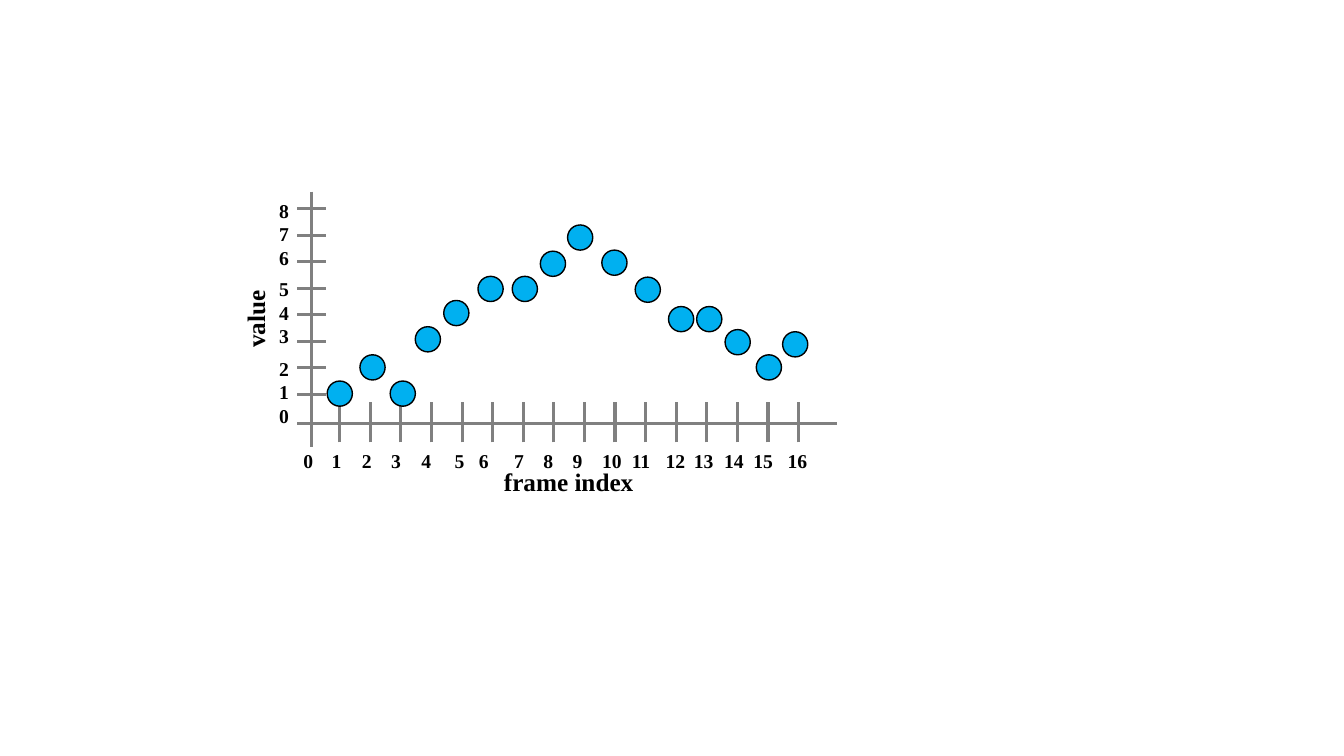
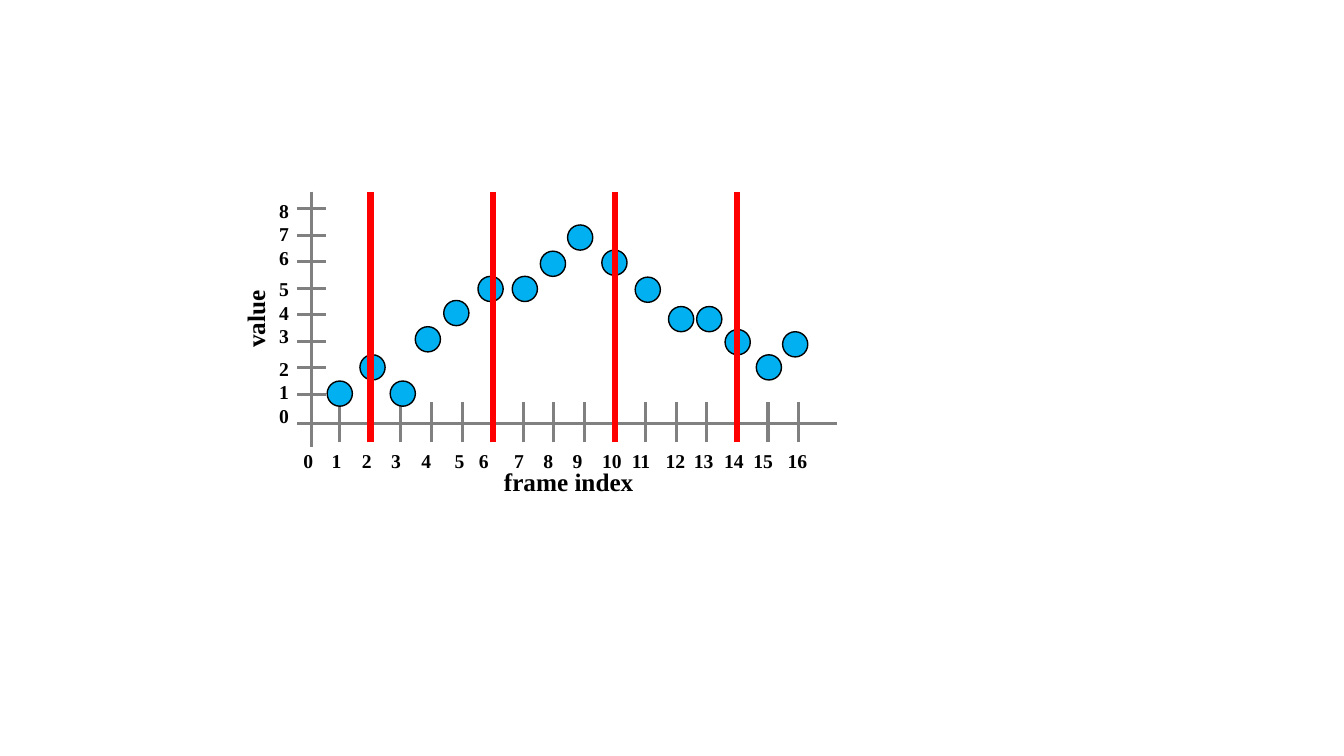
import dataclasses
import typing

import lxml.etree
import pptx
import pptx.dml.color
import pptx.enum.shapes
import pptx.enum.text
import pptx.oxml.ns
import pptx.shapes.autoshape
import pptx.shapes.shapetree
import pptx.util

Inches = pptx.util.Inches
Shapes = pptx.shapes.shapetree._BaseGroupShapes


@dataclasses.dataclass(frozen=True)
class Theme:
    font: str = "Times New Roman"
    ink: str = "000000"
    axis: str = "808080"
    dot: str = "00B0F0"
    marker: str = "FF0000"
    title_size: float = 18
    label_size: float = 14
    axis_width: float = 2.25
    marker_width: float = 4.5
    outline_width: float = 1


@dataclasses.dataclass(frozen=True)
class Plot:
    """Grid of the plot in inches: one column per frame, one row per value."""
    first_column: float = 3.37
    column_width: float = 4.55 / 15
    first_row: float = 3.91
    row_height: float = 1.84 / 7
    top: float = 1.9
    tick_top: float = 3.99
    tick_bottom: float = 4.39
    tick_left: float = 2.95
    tick_right: float = 3.23
    dot_size: float = 0.25
    frames: int = 16
    values: int = 8

    def column(self, frame: float) -> float:
        return self.first_column + (frame - 1) * self.column_width

    def row(self, value: float) -> float:
        return self.first_row - (value - 1) * self.row_height


class Segment(typing.NamedTuple):
    x1: float
    y1: float
    x2: float
    y2: float


class Label(typing.NamedTuple):
    lines: tuple[str, ...]
    left: float
    top: float
    width: float
    height: float
    size: float
    rotation: float = 0
    tabs: tuple[float, ...] = ()


class Reading(typing.NamedTuple):
    frame: float
    value: float


THEME = Theme()
PLOT = Plot()
KEY_FRAMES = (2, 6, 10, 14)
# Distance of the centres of frame numbers 1 to 16 from the start of their line
FRAME_TABS = (0.33, 0.63, 0.92, 1.22, 1.55, 1.79, 2.14, 2.43,
              2.72, 3.06, 3.35, 3.69, 3.97, 4.27, 4.56, 4.9)
READINGS = tuple(Reading(*pair) for pair in (
    (1, 1.02), (2.07, 2.01), (3.06, 1.02), (3.88, 3.07),
    (4.81, 4.06), (5.93, 4.97), (7.05, 4.97), (7.97, 5.92),
    (8.86, 6.91), (9.98, 5.96), (11.07, 4.94), (12.16, 3.83),
    (13.08, 3.83), (14.01, 2.96), (15.03, 2.01), (15.89, 2.88),
))
AXES = (Segment(PLOT.tick_left, 4.2, 8.3, 4.2),
        Segment(3.09, PLOT.top, 3.09, 4.43))
LABELS = (
    Label(("frame index",), 4.9, 4.58, 1.5, 0.4, THEME.title_size),
    Label(("value",), 2.14, 2.96, 0.78, 0.4, THEME.title_size, rotation=270),
    Label(("\t".join(str(frame) for frame in range(PLOT.frames + 1)),),
          2.91, 4.4, 5.35, 0.34, THEME.label_size, tabs=FRAME_TABS),
    *(Label(tuple(str(highest - step) for step in range(3)),
            2.67, top, 0.3, 0.81, THEME.label_size)
      for highest, top in ((8, 1.92), (5, 2.7), (2, 3.49))),
)


def color(value: str) -> pptx.dml.color.RGBColor:
    return pptx.dml.color.RGBColor.from_string(value)


def draw_line(shapes: Shapes, segment: Segment, line_color: str,
              width: float) -> None:
    connector = shapes.add_connector(
        pptx.enum.shapes.MSO_CONNECTOR.STRAIGHT,
        *(Inches(length) for length in segment))
    connector.line.color.rgb = color(line_color)
    connector.line.width = pptx.util.Pt(width)
    properties = connector._element.spPr
    lxml.etree.SubElement(properties, pptx.oxml.ns.qn("a:effectLst"))


def add_centred_tabs(paragraph: typing.Any, tabs: tuple[float, ...]) -> None:
    properties = paragraph._p.get_or_add_pPr()
    tab_list = lxml.etree.SubElement(properties, pptx.oxml.ns.qn("a:tabLst"))
    for position in tabs:
        lxml.etree.SubElement(tab_list, pptx.oxml.ns.qn("a:tab"),
                              pos=str(int(Inches(position))), algn="ctr")


def draw_label(shapes: Shapes, label: Label) -> None:
    shape = shapes.add_textbox(Inches(label.left), Inches(label.top),
                               Inches(label.width), Inches(label.height))
    shape.rotation = label.rotation
    text_frame = shape.text_frame
    text_frame.word_wrap = bool(label.tabs)
    text_frame.auto_size = pptx.enum.text.MSO_AUTO_SIZE.SHAPE_TO_FIT_TEXT
    text_frame.text = "\n".join(label.lines)
    for paragraph in text_frame.paragraphs:
        if label.tabs:
            add_centred_tabs(paragraph, label.tabs)
        for run in paragraph.runs:
            run.font.name = THEME.font
            run.font.size = pptx.util.Pt(label.size)
            run.font.bold = True
            run.font.color.rgb = color(THEME.ink)


def draw_axes(shapes: Shapes) -> None:
    frame_ticks = [Segment(x, PLOT.tick_bottom, x, PLOT.tick_top)
                   for x in map(PLOT.column, range(1, PLOT.frames + 1))]
    value_ticks = [Segment(PLOT.tick_left, y, PLOT.tick_right, y)
                   for y in map(PLOT.row, range(1, PLOT.values + 1))]
    for segment in (*AXES, *frame_ticks, *value_ticks):
        draw_line(shapes, segment, THEME.axis, THEME.axis_width)
    for label in LABELS:
        draw_label(shapes, label)


def draw_reading(shapes: Shapes, reading: Reading) -> None:
    size = PLOT.dot_size
    shape = shapes.add_shape(
        pptx.enum.shapes.MSO_SHAPE.OVAL,
        Inches(PLOT.column(reading.frame) - size / 2),
        Inches(PLOT.row(reading.value) - size / 2),
        Inches(size), Inches(size))
    shape.shadow.inherit = False
    shape.fill.solid()
    shape.fill.fore_color.rgb = color(THEME.dot)
    shape.line.color.rgb = color(THEME.ink)
    shape.line.width = pptx.util.Pt(THEME.outline_width)


def add_plot_slide(presentation: typing.Any, key_frames: tuple[int, ...] = (),
                   group_axes: bool = False) -> None:
    slide = presentation.slides.add_slide(presentation.slide_layouts[6])
    shapes = slide.shapes
    draw_axes(shapes.add_group_shape().shapes if group_axes else shapes)
    for reading in READINGS:
        draw_reading(shapes, reading)
    for x in map(PLOT.column, key_frames):
        draw_line(shapes, Segment(x, PLOT.tick_bottom, x, PLOT.top),
                  THEME.marker, THEME.marker_width)


def main() -> None:
    presentation = pptx.Presentation()
    presentation.slide_width = Inches(13.33)
    presentation.slide_height = Inches(7.5)
    add_plot_slide(presentation)
    add_plot_slide(presentation, KEY_FRAMES, group_axes=True)
    presentation.save("out.pptx")


if __name__ == "__main__":
    main()
